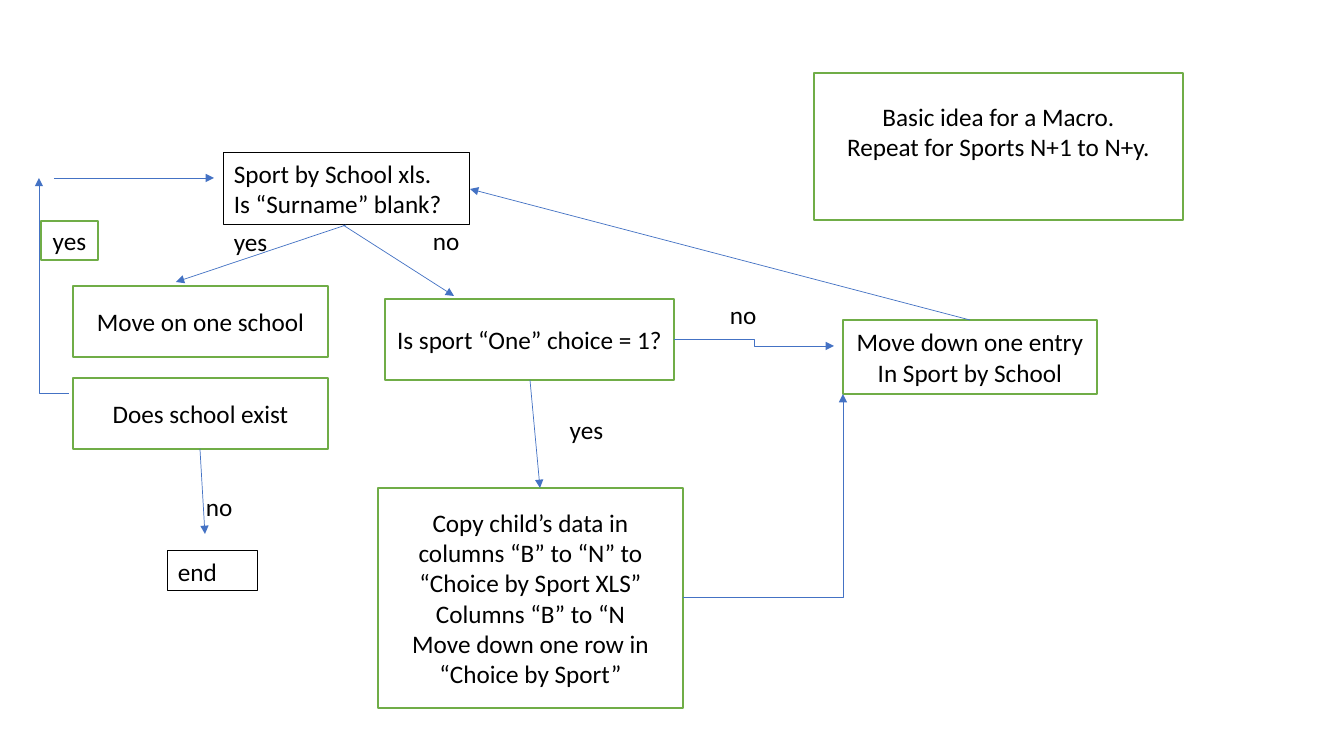
from pptx import Presentation
from pptx.dml.color import RGBColor
from pptx.enum.shapes import MSO_CONNECTOR, MSO_SHAPE
from pptx.enum.text import MSO_ANCHOR, PP_ALIGN
from pptx.oxml.ns import qn
from pptx.util import Pt
from lxml import etree

RECTANGLE = MSO_SHAPE.RECTANGLE
STRAIGHT, ELBOW = MSO_CONNECTOR.STRAIGHT, MSO_CONNECTOR.ELBOW
LEFT, CENTER = PP_ALIGN.LEFT, PP_ALIGN.CENTER
TOP, MIDDLE = MSO_ANCHOR.TOP, MSO_ANCHOR.MIDDLE

PIXEL = 914400 / 100.8
FONT = "Calibri"
COLORS = {"text": "000000", "frame": "000000", "step": "70AD47",
          "fill": "FFFFFF", "arrow": "4472C4"}


def emu(*pixels):
    return [round(value * PIXEL) for value in pixels]


def write(shape, lines, alignment, anchor):
    frame = shape.text_frame
    frame.word_wrap = True
    frame.vertical_anchor = anchor
    for index, line in enumerate(lines):
        paragraph = frame.paragraphs[0] if index == 0 else frame.add_paragraph()
        paragraph.alignment = alignment
        run = paragraph.add_run()
        run.text = line
        run.font.name = FONT
        run.font.size = Pt(18)
        run.font.color.rgb = RGBColor.from_string(COLORS["text"])


presentation = Presentation()
presentation.slide_width, presentation.slide_height = emu(1344, 756)
slide = presentation.slides.add_slide(presentation.slide_layouts[6])

# Boxes: bounds, lines, kind
boxes = [
    ((224, 153, 246, 72), ["Sport by School xls.", "Is “Surname” blank?"], "frame"),
    ((168, 551, 90, 40), ["end"], "frame"),
    ((385, 299, 289, 81), ["Is sport “One” choice = 1?"], "step"),
    ((843, 320, 254, 74), ["Move down one entry", "In Sport by School"], "step"),
    ((378, 488, 305, 220),
     ["Copy child’s data in columns “B” to “N” to “Choice by Sport XLS” "
      "Columns “B” to “N",
      "Move down one row in “Choice by Sport”"], "step"),
    ((73, 286, 255, 71), ["Move on one school"], "step"),
    ((73, 378, 255, 71), ["Does school exist"], "step"),
    ((41, 221, 57, 39), ["yes"], "step"),
    ((814, 73, 369, 147),
     ["Basic idea for a Macro.", "Repeat for Sports N+1 to N+y."], "step"),
]
for bounds, lines, kind in boxes:
    box = slide.shapes.add_shape(RECTANGLE, *emu(*bounds))
    box.shadow.inherit = False
    box.line.color.rgb = RGBColor.from_string(COLORS[kind])
    if kind == "step":
        box.fill.solid()
        box.fill.fore_color.rgb = RGBColor.from_string(COLORS["fill"])
        box.line.width = Pt(1)
        write(box, lines, CENTER, MIDDLE)
    else:
        box.fill.background()
        box.line.width = Pt(0.75)
        write(box, lines, LEFT, TOP)

# The macro note, last in the list, sits one text line above the middle
box.text_frame.margin_bottom = emu(35)[0]

# Answer labels
labels = [
    ((224, 221, 82, 40), "yes", LEFT, TOP),
    ((423, 220, 92, 40), "no", LEFT, TOP),
    ((720, 294, 66, 41), "no", LEFT, TOP),
    ((543, 413, 87, 33), "yes", CENTER, MIDDLE),
    ((196, 486, 66, 41), "no", LEFT, TOP),
]
for bounds, answer, alignment, anchor in labels:
    label = slide.shapes.add_textbox(*emu(*bounds))
    write(label, [answer], alignment, anchor)

# Arrows: start and end, preset geometry
arrows = [
    ((346, 225, 176, 282), "line"),
    ((343, 225, 454, 296), "line"),
    ((674, 339, 834, 346), "bentConnector3"),
    ((530, 380, 540, 488), "line"),
    ((970, 320, 470, 189), "line"),
    ((683, 597, 843, 394), "bentConnector2"),
    ((69, 393, 39, 178), "bentConnector2"),
    ((54, 178, 214, 178), "line"),
    ((200, 449, 205, 534), "line"),
]
for ends, geometry in arrows:
    connector_type = STRAIGHT if geometry == "line" else ELBOW
    arrow = slide.shapes.add_connector(connector_type, *emu(*ends))
    arrow.line.color.rgb = RGBColor.from_string(COLORS["arrow"])
    arrow.line.width = Pt(0.5)
    properties = arrow._element.spPr
    properties.find(qn("a:prstGeom")).set("prst", geometry)
    etree.SubElement(properties.find(qn("a:ln")), qn("a:tailEnd"), type="triangle")
    etree.SubElement(properties, qn("a:effectLst"))

presentation.save("out.pptx")
